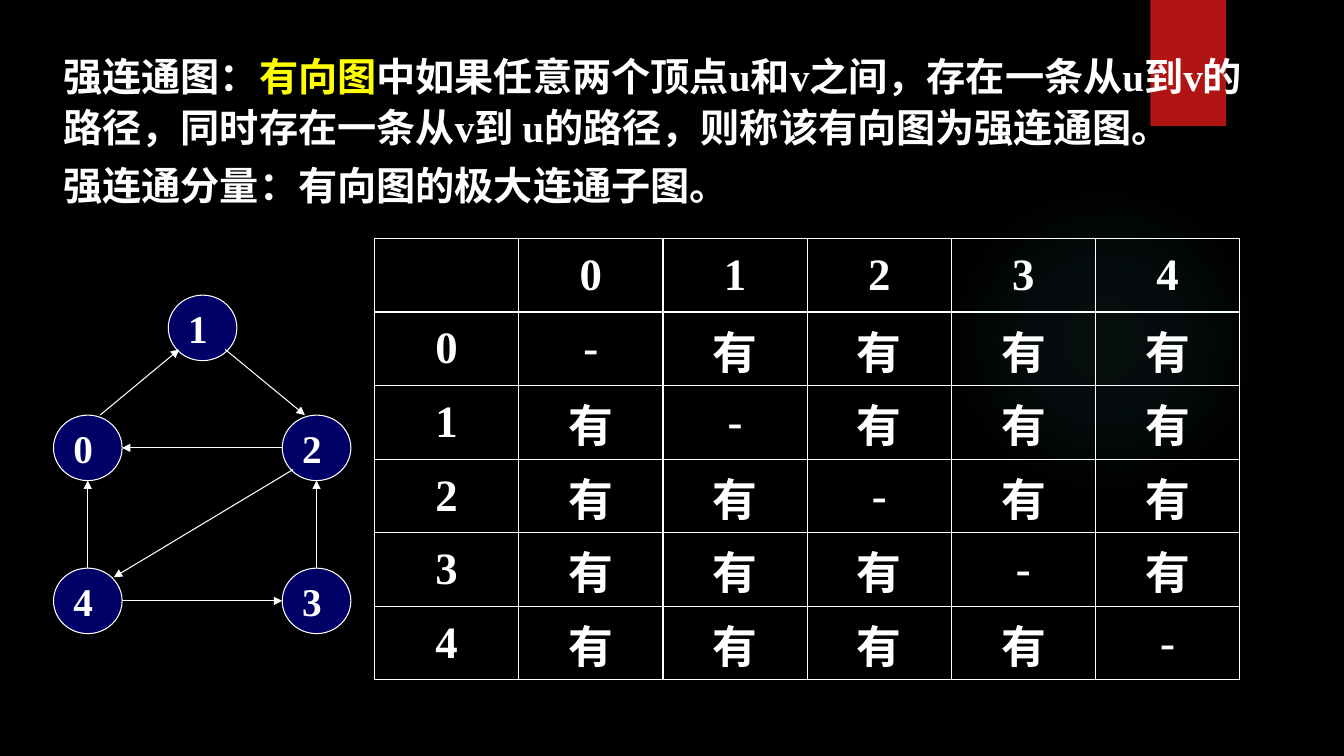
from lxml import etree
from pptx import Presentation
from pptx.dml.color import RGBColor as RGB
from pptx.enum.shapes import MSO_CONNECTOR as LINK, MSO_SHAPE as KIND
from pptx.enum.text import MSO_ANCHOR as ANCHOR, PP_ALIGN as ALIGN
from pptx.oxml import parse_xml
from pptx.oxml.ns import qn
from pptx.util import Pt

HUES = {"back": "000000", "text": "FFFFFF", "mark": "FFFF00",
        "node": "000066", "band": "B01513", "glow": "50B9C1"}
FACE = {"name": "Times New Roman", "bold": True}
NS = 'xmlns:a="http://schemas.openxmlformats.org/drawingml/2006/main"'

WORDS = [
    [("强连通图：", "text"), ("有向图", "mark"),
     ("中如果任意两个顶点u和v之间，存在一条从u到v的路径，"
      "同时存在一条从v到 u的路径，则称该有向图为强连通图。", "text")],
    [("强连通分量：有向图的极大连通子图。", "text")],
]

SPOTS = {"1": (82, 0), "0": (0, 85.7), "2": (163.4, 85.7),
         "3": (163.4, 195), "4": (0, 195)}
TOP, LEFT, BASE, RIGHT = (0.5, 0), (0, 0.5), (0.5, 1), (1, 0.5)
EDGES = [
    ("0", (0.68, 0), "1", (0.16, 0.83)),
    ("1", (0.83, 0.83), "2", (0.33, 0)),
    ("2", LEFT, "0", RIGHT),
    ("4", TOP, "0", BASE),
    ("3", TOP, "2", BASE),
    ("4", RIGHT, "3", LEFT),
    ("2", (0.16, 0.83), "4", (0.88, 0.14)),
]


def color(key):
    return RGB.from_string(HUES[key])


def style(font, size, key="text"):
    for name, value in {**FACE, "size": Pt(size)}.items():
        setattr(font, name, value)
    font.color.rgb = color(key)


def plain(shapes, kind, box, key):
    shape = shapes.add_shape(kind, *map(Pt, box))
    shape.shadow.inherit = False
    shape.fill.solid()
    shape.fill.fore_color.rgb = color(key)
    shape.line.fill.background()
    return shape


def add_glow(slide, box):
    shape = plain(slide.shapes, KIND.OVAL, box, "glow")
    stops = "".join(
        f'<a:gs pos="{spot * 1000}"><a:srgbClr val="{HUES["glow"]}">'
        f'<a:alpha val="{alpha * 1000}"/></a:srgbClr></a:gs>'
        for spot, alpha in [(0, 7), (36, 6), (69, 0), (100, 0)])
    grad = parse_xml(
        f'<a:gradFill {NS} rotWithShape="1"><a:gsLst>{stops}</a:gsLst>'
        '<a:path path="circle"><a:fillToRect l="50000" t="50000" '
        'r="50000" b="50000"/></a:path></a:gradFill>')
    props = shape.fill._xPr
    props.replace(props.find(qn("a:solidFill")), grad)


def add_words(slide, box):
    frame = slide.shapes.add_textbox(*map(Pt, box)).text_frame
    frame.word_wrap = True
    for i, parts in enumerate(WORDS):
        para = frame.add_paragraph() if i else frame.paragraphs[0]
        para.line_spacing = 1.1
        if i:
            para.space_before = Pt(4.5)
        for text, key in parts:
            run = para.add_run()
            run.text = text
            style(run.font, 28, key)


def add_node(shapes, box, name):
    node = plain(shapes, KIND.OVAL, box, "node")
    node.line.color.rgb = color("text")
    node.line.width = Pt(0.75)
    frame = node.text_frame
    frame.word_wrap = False
    frame.vertical_anchor = ANCHOR.MIDDLE
    para = frame.paragraphs[0]
    para.alignment = ALIGN.LEFT
    run = para.add_run()
    run.text = name
    style(run.font, 28)


def add_edge(shapes, start, end):
    edge = shapes.add_connector(LINK.STRAIGHT, *map(Pt, start + end))
    edge.line.color.rgb = color("text")
    edge.line.width = Pt(0.75)
    etree.SubElement(edge.line._get_or_add_ln(), qn("a:tailEnd"), type="triangle")
    etree.SubElement(edge._element.spPr, qn("a:effectLst"))


def add_graph(slide, x, y, wide, high):
    def point(name, part):
        col, row = SPOTS[name]
        return x + col + wide * part[0], y + row + high * part[1]

    shapes = slide.shapes.add_group_shape().shapes
    for name in SPOTS:
        add_node(shapes, (*point(name, (0, 0)), wide, high), name)
    for tail, out, head, into in EDGES:
        add_edge(shapes, point(tail, out), point(head, into))


def add_cell(cell, text):
    cell.vertical_anchor = ANCHOR.MIDDLE
    props = cell._tc.get_or_add_tcPr()
    for side in ("lnL", "lnR", "lnT", "lnB"):
        props.append(parse_xml(
            f'<a:{side} {NS} w="12700"><a:solidFill><a:srgbClr '
            f'val="{HUES["text"]}"/></a:solidFill></a:{side}>'))
    cell.fill.background()
    if text:
        para = cell.text_frame.paragraphs[0]
        para.alignment = ALIGN.CENTER
        run = para.add_run()
        run.text = text
        style(run.font, 32)


def add_grid(slide, box, count):
    size = count + 1
    table = slide.shapes.add_table(size, size, *map(Pt, box)).table
    table.first_row = table.horz_banding = False
    for col in table.columns:
        col.width = Pt(box[2] / size)
    for row in table.rows:
        row.height = Pt(box[3] / size)
    names = [str(i) for i in range(count)]
    rows = [[""] + names]
    rows += [[a] + ["-" if a == b else "有" for b in names] for a in names]
    for i, row in enumerate(rows):
        for j, text in enumerate(row):
            add_cell(table.cell(i, j), text)


def main():
    deck = Presentation()
    deck.slide_width, deck.slide_height = Pt(960), Pt(540)
    slide = deck.slides.add_slide(deck.slide_layouts[6])
    slide.background.fill.solid()
    slide.background.fill.fore_color.rgb = color("back")
    add_glow(slide, (677.5, 131.8, 222, 222))
    plain(slide.shapes, KIND.RECTANGLE, (821.8, 0, 54, 90), "band")
    add_words(slide, (38.2, 30.2, 862, 119.5))
    add_graph(slide, 38.2, 210.8, 49, 46.8)
    add_grid(slide, (267.6, 170.4, 618, 315.3), 5)
    deck.save("out.pptx")


if __name__ == "__main__":
    main()
